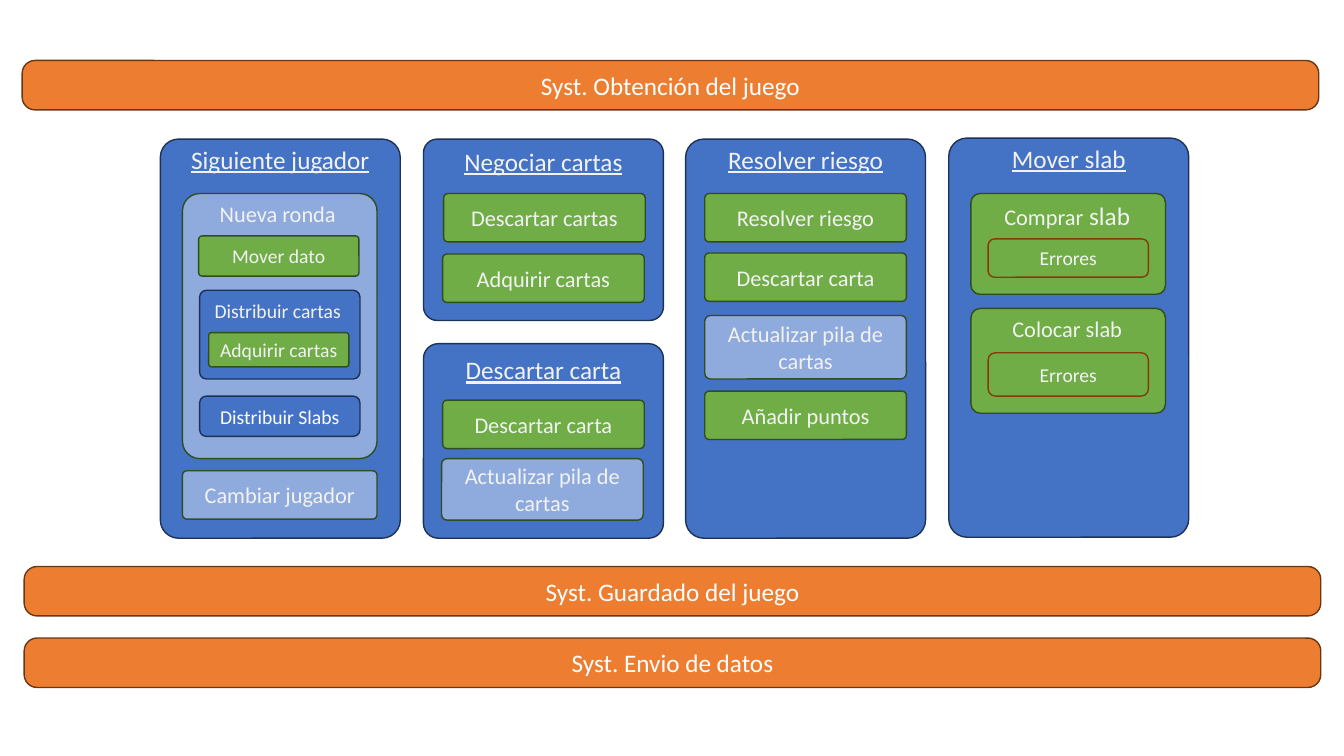
import pptx
import pptx.dml.color
import pptx.enum.shapes
import pptx.enum.text
import pptx.util

Inches = pptx.util.Inches

BLUE, DARK_BLUE = "4472C4", "1E3256"
LIGHT_BLUE, GREEN, DARK_GREEN = "8FAADC", "70AD47", "314C1F"
ORANGE, DARK_ORANGE, RUST = "ED7D31", "683715", "843C0B"
WHITE, OFF_WHITE = "FFFFFF", "F2F2F2"

COLUMN_WIDTH = 2.38
STEP_WIDTH = 2
STEP_HEIGHT = 0.48
GROUP_WIDTH = 1.93
INNER_WIDTH = 1.59
DEFAULT_CORNER = 0.167

# Left, top, height, title, title top
COLUMNS = [
    (1.59, 1.38, 3.96, "Siguiente jugador", 1.38),
    (4.2, 1.38, 1.8, "Negociar cartas", 1.4),
    (4.2, 3.41, 1.93, "Descartar carta", 3.47),
    (6.8, 1.38, 3.96, "Resolver riesgo", 1.38),
    (9.41, 1.37, 3.96, "Mover slab", 1.37),
]

# Left, top, height, text, fill
STEPS = [
    (4.4, 1.92, STEP_HEIGHT, "Descartar cartas", GREEN),
    (4.39, 2.52, STEP_HEIGHT, "Adquirir cartas", GREEN),
    (4.39, 3.97, STEP_HEIGHT, "Descartar carta", GREEN),
    (4.38, 4.55, 0.61, "Actualizar pila de cartas", LIGHT_BLUE),
    (6.99, 1.92, STEP_HEIGHT, "Resolver riesgo", GREEN),
    (6.99, 2.51, STEP_HEIGHT, "Descartar carta", GREEN),
    (6.99, 3.13, 0.63, "Actualizar pila de cartas", LIGHT_BLUE),
    (6.99, 3.88, STEP_HEIGHT, "Añadir puntos", GREEN),
]

# Left, top, text
SYSTEM_BARS = [
    (0.22, 0.6, "Syst. Obtención del juego"),
    (0.24, 5.62, "Syst. Guardado del juego"),
    (0.24, 6.33, "Syst. Envio de datos"),
]

# Top, height, title, errors top, errors height
SLAB_GROUPS = [
    (1.92, 1, [("Comprar", 16), (" slab", 18)], 2.37, 0.38),
    (3.06, 1.04, [("Colocar slab", 16)], 3.5, 0.43),
]


def rgb(value):
    return pptx.dml.color.RGBColor.from_string(value)


def write(frame, spans, color, underline=False):
    """Fill the frame with one centred paragraph of (text, size) spans."""
    para = frame.paragraphs[0]
    para.alignment = pptx.enum.text.PP_ALIGN.CENTER
    for text, size in spans:
        span = para.add_run()
        span.text = text
        span.font.name = "Calibri"
        span.font.size = pptx.util.Pt(size)
        span.font.color.rgb = rgb(color)
        if underline:
            span.font.underline = True


def add_box(page, left, top, width, height, fill, line, corner=0.089,
            text="", size=16, color=OFF_WHITE):
    box = page.shapes.add_shape(
        pptx.enum.shapes.MSO_SHAPE.ROUNDED_RECTANGLE,
        Inches(left), Inches(top), Inches(width), Inches(height))
    box.adjustments[0] = corner
    box.shadow.inherit = False
    box.fill.solid()
    box.fill.fore_color.rgb = rgb(fill)
    box.line.color.rgb = rgb(line)
    box.line.width = pptx.util.Pt(1)
    if text:
        box.text_frame.vertical_anchor = pptx.enum.text.MSO_ANCHOR.MIDDLE
        write(box.text_frame, [(text, size)], color)


def add_heading(page, left, top, width, height, spans, underline=False):
    box = page.shapes.add_textbox(
        Inches(left), Inches(top), Inches(width), Inches(height))
    box.text_frame.word_wrap = True
    write(box.text_frame, spans, OFF_WHITE, underline)


def add_round_group(page):
    """Draw the contents of the first column."""
    add_box(page, 1.81, 1.92, GROUP_WIDTH, 2.63, LIGHT_BLUE, DARK_GREEN)
    add_heading(page, 1.94, 1.94, 1.63, 0.37, [("Nueva ronda", 16)])
    add_box(page, 1.97, 2.34, INNER_WIDTH, 0.4, GREEN, DARK_GREEN,
            text="Mover dato", size=14)
    add_box(page, 1.98, 2.88, INNER_WIDTH, 0.88, BLUE, DARK_BLUE, 0.076)
    add_heading(page, 1.94, 2.92, 1.63, 0.34, [("Distribuir cartas", 14)])
    add_box(page, 2.07, 3.3, 1.39, 0.34, GREEN, DARK_GREEN,
            text="Adquirir cartas", size=14)
    add_box(page, 1.98, 3.93, INNER_WIDTH, 0.4, BLUE, DARK_BLUE,
            DEFAULT_CORNER, "Distribuir Slabs", 14, WHITE)
    add_box(page, 1.81, 4.67, GROUP_WIDTH, STEP_HEIGHT, LIGHT_BLUE,
            DARK_GREEN, text="Cambiar jugador")


def add_slab_groups(page):
    for top, height, title, errors_top, errors_height in SLAB_GROUPS:
        add_box(page, 9.63, top, GROUP_WIDTH, height, GREEN, DARK_GREEN)
        add_heading(page, 9.77, top + 0.02, 1.63, 0.4, title)
        add_box(page, 9.8, errors_top, INNER_WIDTH, errors_height, GREEN,
                RUST, DEFAULT_CORNER, "Errores", 14)


def main():
    deck = pptx.Presentation()
    deck.slide_width = Inches(13.33)
    deck.slide_height = Inches(7.5)
    page = deck.slides.add_slide(deck.slide_layouts[6])

    for left, top, text in SYSTEM_BARS:
        add_box(page, left, top, 12.86, 0.49, ORANGE, DARK_ORANGE, 0.26,
                text, 18, WHITE)
    for left, top, height, title, title_top in COLUMNS:
        add_box(page, left, top, COLUMN_WIDTH, height, BLUE, DARK_BLUE, 0.076)
        add_heading(page, left, title_top, COLUMN_WIDTH, 0.4, [(title, 18)],
                    underline=True)
    for left, top, height, text, fill in STEPS:
        add_box(page, left, top, STEP_WIDTH, height, fill, DARK_GREEN,
                text=text)
    add_round_group(page)
    add_slab_groups(page)

    deck.save("out.pptx")


if __name__ == "__main__":
    main()
